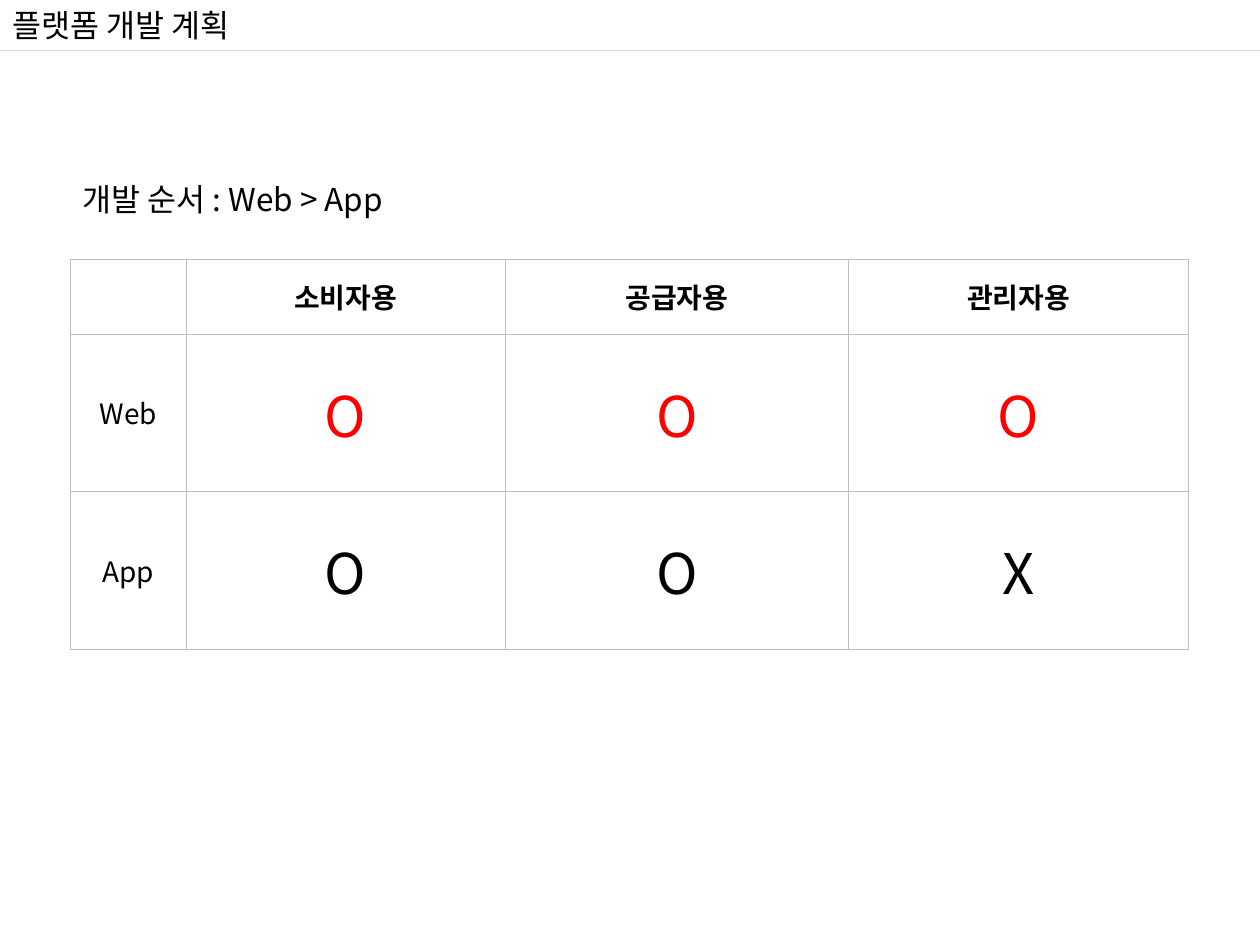
from dataclasses import dataclass

import pptx
import pptx.dml.color
import pptx.enum.shapes
import pptx.enum.text
import pptx.oxml.ns
import pptx.util
from lxml import etree

Cm = pptx.util.Cm
Pt = pptx.util.Pt
qn = pptx.oxml.ns.qn


@dataclass(frozen=True)
class Theme:
    font: str = "Noto Sans CJK KR"
    ink: str = "000000"
    accent: str = "FF0000"
    paper: str = "FFFFFF"
    rule: str = "D9D9D9"
    border: str = "BFBFBF"
    title_size: int = 18
    label_size: int = 16
    mark_size: int = 32


THEME = Theme()
PAGE_WIDTH = Cm(25.4)
PAGE_HEIGHT = Cm(19.05)
MARGIN = Cm(1.42)
HEADER_HEIGHT = Cm(1.02)

COLUMN_WIDTHS = [2.33, 6.44, 6.91, 6.86]
ROW_HEIGHTS = [1.5, 3.18, 3.18]
PLAN = [
    ["", "소비자용", "공급자용", "관리자용"],
    ["Web", "O", "O", "O"],
    ["App", "O", "O", "X"],
]


def rgb(value):
    return pptx.dml.color.RGBColor.from_string(value)


def write(para, text, size, color=THEME.ink, bold=False):
    """Fill a paragraph and set one font for Latin and Korean text."""
    para.text = text
    font = para.font
    font.size = Pt(size)
    font.bold = bold
    font.color.rgb = rgb(color)
    font.name = THEME.font
    latin = para._p.pPr.find(qn("a:defRPr")).find(qn("a:latin"))
    east_asian = etree.Element(qn("a:ea"), typeface=THEME.font)
    latin.addnext(east_asian)


def add_heading(page, text, left, top):
    box = page.shapes.add_textbox(left, top, Cm(11.25), HEADER_HEIGHT)
    frame = box.text_frame
    frame.word_wrap = True
    frame.auto_size = pptx.enum.text.MSO_AUTO_SIZE.SHAPE_TO_FIT_TEXT
    write(frame.paragraphs[0], text, THEME.title_size)


def add_rule(page, top):
    rule = page.shapes.add_connector(
        pptx.enum.shapes.MSO_CONNECTOR.STRAIGHT, 0, top, PAGE_WIDTH, top)
    rule.line.color.rgb = rgb(THEME.rule)
    rule.line.width = Pt(0.5)
    etree.SubElement(rule._element.spPr, qn("a:effectLst"))


def set_borders(cell):
    properties = cell._tc.get_or_add_tcPr()
    for position, side in enumerate(("lnL", "lnR", "lnT", "lnB")):
        line = etree.Element(qn(f"a:{side}"), w=str(Pt(0.25)))
        fill = etree.SubElement(line, qn("a:solidFill"))
        etree.SubElement(fill, qn("a:srgbClr"), val=THEME.border)
        properties.insert(position, line)


def fill_cell(cell, text, size, color, bold):
    cell.fill.solid()
    cell.fill.fore_color.rgb = rgb(THEME.paper)
    set_borders(cell)
    cell.vertical_anchor = pptx.enum.text.MSO_ANCHOR.MIDDLE
    para = cell.text_frame.paragraphs[0]
    para.alignment = pptx.enum.text.PP_ALIGN.CENTER
    write(para, text, size, color, bold)


def add_plan_table(page, left, top):
    table = page.shapes.add_table(
        len(PLAN), len(PLAN[0]), left, top,
        Cm(sum(COLUMN_WIDTHS)), Cm(sum(ROW_HEIGHTS))).table
    for column, width in zip(table.columns, COLUMN_WIDTHS):
        column.width = Cm(width)
    for row, height in zip(table.rows, ROW_HEIGHTS):
        row.height = Cm(height)

    for r, texts in enumerate(PLAN):
        for c, text in enumerate(texts):
            is_mark = r > 0 and c > 0
            size = THEME.mark_size if is_mark else THEME.label_size
            # Web comes first, so its marks stand out
            color = THEME.accent if is_mark and texts[0] == "Web" else THEME.ink
            fill_cell(table.cell(r, c), text, size, color, bold=r == 0)


def main():
    deck = pptx.Presentation()
    deck.slide_width = PAGE_WIDTH
    deck.slide_height = PAGE_HEIGHT
    page = deck.slides.add_slide(deck.slide_layouts[6])

    # Header
    add_heading(page, "플랫폼 개발 계획", 0, 0)
    add_rule(page, HEADER_HEIGHT)

    # Development plan
    add_plan_table(page, MARGIN, Cm(5.23))
    add_heading(page, "개발 순서 : Web > App", MARGIN, Cm(3.5))

    deck.save("out.pptx")


if __name__ == "__main__":
    main()
